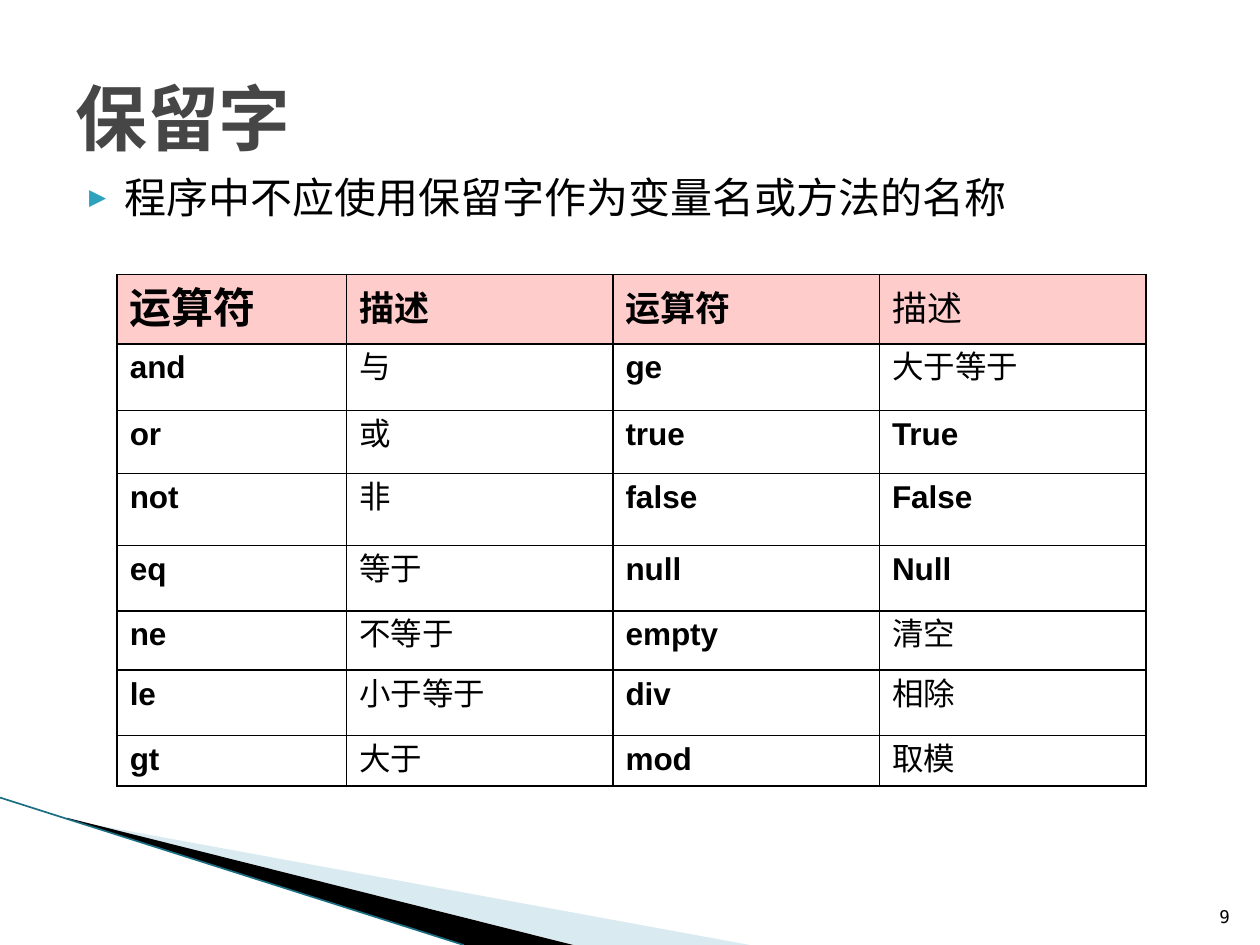
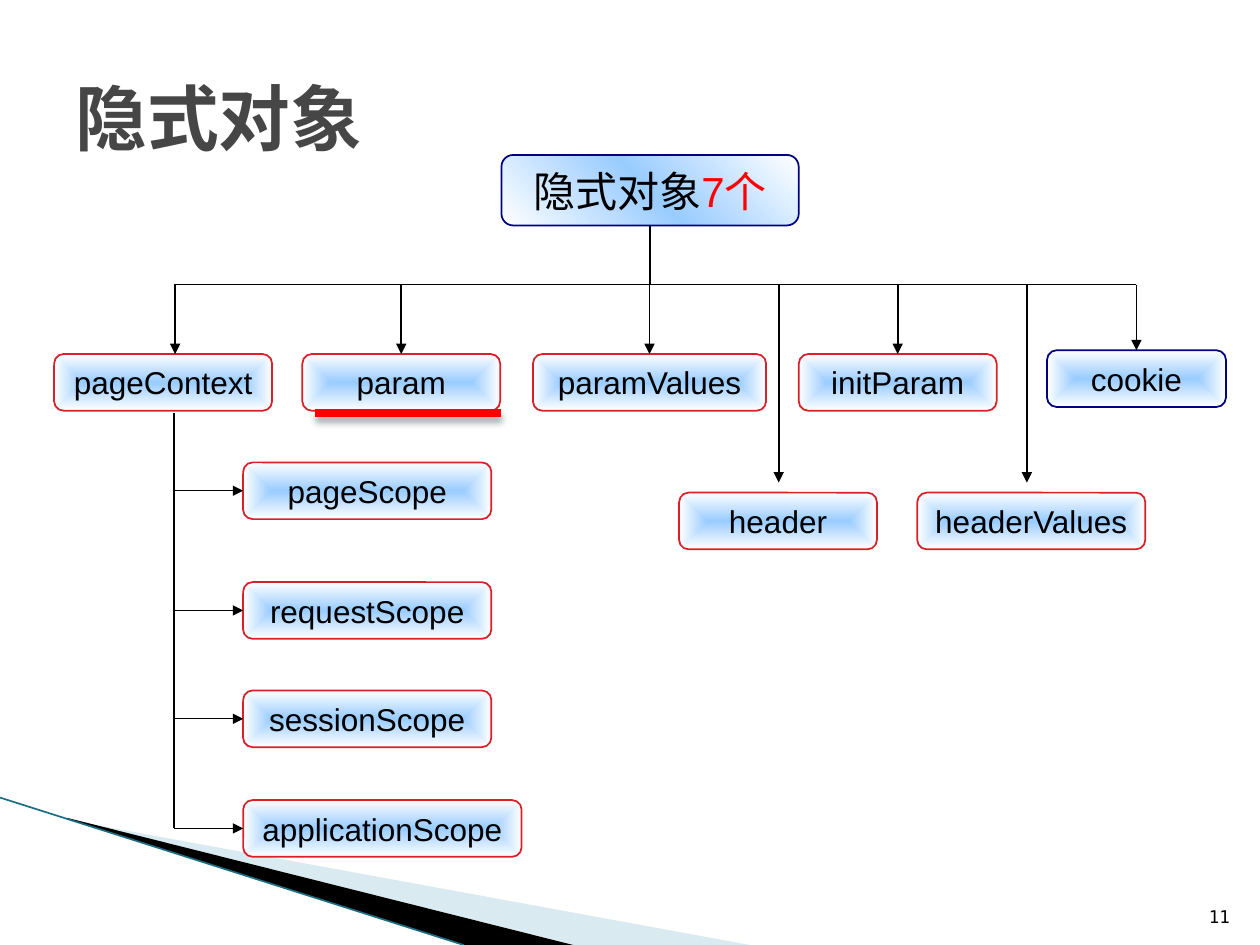
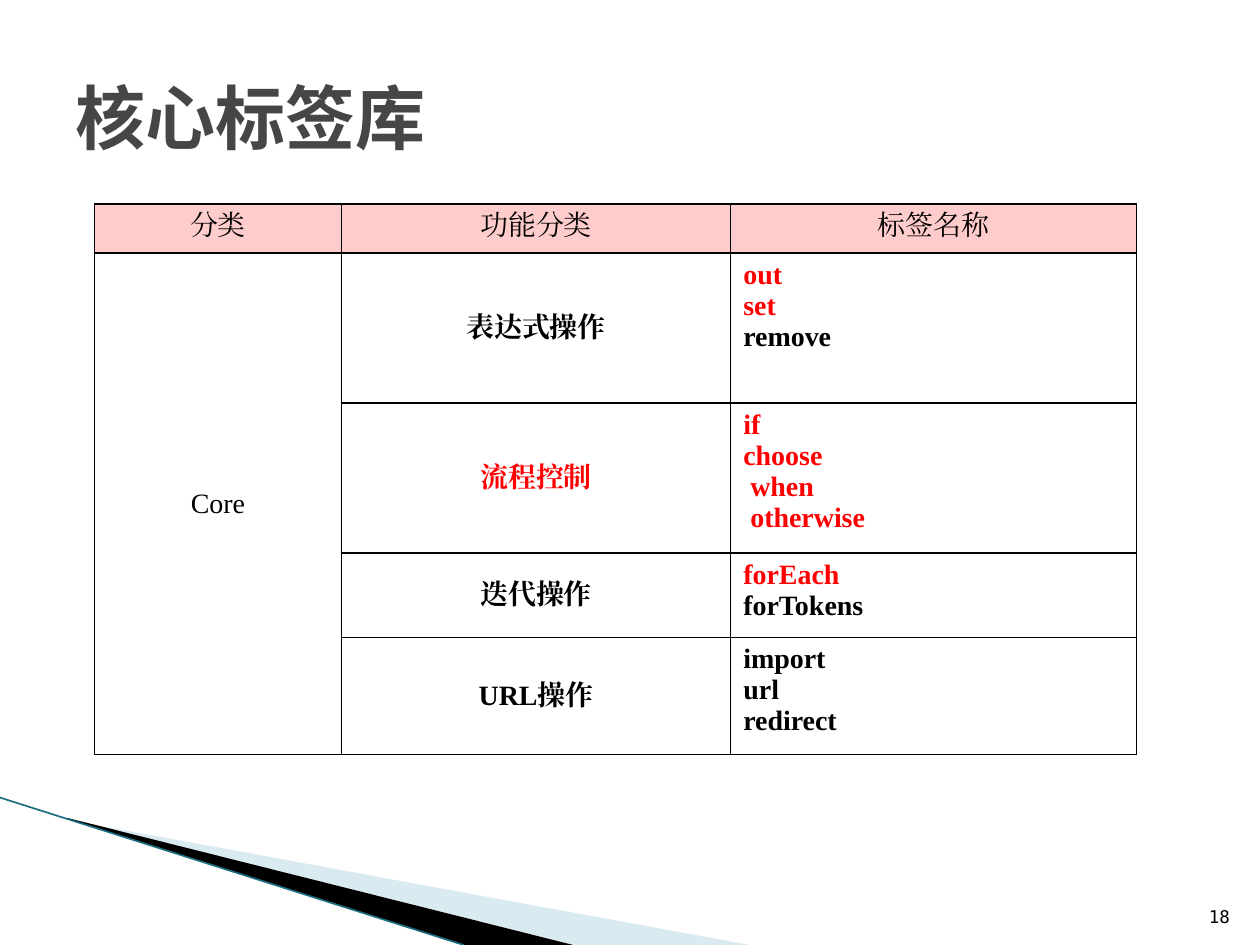
from dataclasses import dataclass, replace
from itertools import pairwise
from typing import NamedTuple, Optional, Sequence

from pptx import Presentation
from pptx.dml.color import RGBColor
from pptx.enum.shapes import MSO_CONNECTOR as Connector, MSO_SHAPE as Preset
from pptx.enum.text import MSO_ANCHOR as Anchor, PP_ALIGN as Align
from pptx.oxml import parse_xml
from pptx.oxml.ns import nsdecls, qn
from pptx.oxml.xmlchemy import OxmlElement
from pptx.util import Inches, Pt

# Square grid: 100 columns by 75 rows
COLUMNS, ROWS = 100, 75
CELL = Inches(10) // COLUMNS
TOP, LEFT, BOTTOM = 0, 1, 2  # connection sites of a rectangle


def grid(count: float) -> int:
    return round(count * CELL)


# Theme and records
@dataclass(frozen=True)
class Theme:
    sans: str = "DejaVu Sans Mono"
    arial: str = "Arial"
    serif: str = "Times New Roman"
    black: str = "000000"
    red: str = "FF0000"
    title: str = "464646"
    header: str = "FFCCCC"
    bullet: str = "2DA2BF"
    wedge: str = "A0CBDC"
    edge: str = "1B6E82"
    glow: str = "99CCFF"
    white: str = "FFFFFF"
    box_red: str = "DA1F28"
    navy: str = "000080"
    title_size: float = 41
    large: float = 24
    medium: float = 20
    normal: float = 18
    small: float = 16
    number_size: float = 10


THEME = Theme()


@dataclass(frozen=True)
class Style:
    font: str
    size: float
    color: str = THEME.black
    bold: bool = False


class Box(NamedTuple):
    left: float
    top: float
    width: float
    height: float


class Point(NamedTuple):
    x: float
    y: float


class Node(NamedTuple):
    text: str
    box: Box
    arrow_x: Optional[float] = None  # None: arrow joins the top middle
    line: str = THEME.box_red


class Cell(NamedTuple):
    text: str
    style: Style
    anchor: Anchor = Anchor.TOP
    align: Align = Align.LEFT
    fill: Optional[str] = None
    space_before: float = 0


class TableSpec(NamedTuple):
    origin: Point
    widths: Sequence[float]
    heights: Sequence[float]


NODE_STYLE = Style(THEME.arial, THEME.normal)


# Text
def style_run(run, style: Style) -> None:
    run.font.name = style.font
    run.font.size = Pt(style.size)
    run.font.bold = style.bold
    run.font.color.rgb = RGBColor.from_string(style.color)
    east_asian = OxmlElement("a:ea")
    east_asian.set("typeface", style.font)
    run.font._element.find(qn("a:latin")).addnext(east_asian)


def style_paragraph(paragraph, style: Style, align: Align = Align.LEFT) -> None:
    paragraph.alignment = align
    for run in paragraph.runs:
        style_run(run, style)


def add_text(slide, box: Box, text: str, style: Style,
             anchor: Anchor = Anchor.TOP, align: Align = Align.LEFT):
    frame = slide.shapes.add_textbox(*map(grid, box)).text_frame
    frame.word_wrap = True
    frame.vertical_anchor = anchor
    frame.text = text
    style_paragraph(frame.paragraphs[0], style, align)
    return frame.paragraphs[0]


def add_bullet(paragraph) -> None:
    paragraph.space_before = Pt(4)
    properties = paragraph._p.get_or_add_pPr()
    properties.set("marL", str(grid(4)))
    properties.set("indent", str(grid(-2.8)))
    for markup in (
        f'<a:buClr {nsdecls("a")}><a:srgbClr val="{THEME.bullet}"/></a:buClr>',
        f'<a:buSzPct {nsdecls("a")} val="68000"/>',
        f'<a:buFont {nsdecls("a")} typeface="{THEME.sans}"/>',
        f'<a:buChar {nsdecls("a")} char="▶"/>',
    ):
        properties.append(parse_xml(markup))


# Lines, outlines and boxes
def add_line(slide, start: Point, end: Point, width: float = 0.75,
             color: str = THEME.black, arrow: bool = False, effect: str = ""):
    line = slide.shapes.add_connector(Connector.STRAIGHT, *map(grid, (*start, *end)))
    line.line.width = Pt(width)
    line.line.color.rgb = RGBColor.from_string(color)
    if arrow:
        tail = OxmlElement("a:tailEnd")
        tail.set("type", "triangle")
        line.line._get_or_add_ln().append(tail)
    line._element.spPr.append(
        parse_xml(f'<a:effectLst {nsdecls("a")}>{effect}</a:effectLst>'))
    return line


def add_wedge(slide, points: Sequence[Point], color: str, opacity: int = 100) -> None:
    first, *others = [(grid(point.x), grid(point.y)) for point in points]
    builder = slide.shapes.build_freeform(*first)
    builder.add_line_segments(others)
    shape = builder.convert_to_shape()
    shape.shadow.inherit = False
    shape.line.fill.background()
    shape.fill.solid()
    shape.fill.fore_color.rgb = RGBColor.from_string(color)
    if opacity < 100:
        alpha = OxmlElement("a:alpha")
        alpha.set("val", str(opacity * 1000))
        shape._element.spPr.find(".//" + qn("a:srgbClr")).append(alpha)


def gradient(colors: Sequence[str], direction: str):
    step = 100000 // (len(colors) - 1)
    stops = "".join(f'<a:gs pos="{index * step}"><a:srgbClr val="{color}"/></a:gs>'
                    for index, color in enumerate(colors))
    return parse_xml(f'<a:gradFill {nsdecls("a")} rotWithShape="1">'
                     f'<a:gsLst>{stops}</a:gsLst>{direction}</a:gradFill>')


DIAGONAL = '<a:lin ang="18900000" scaled="1"/>'
INWARD = ('<a:path path="shape">'
          '<a:fillToRect l="50000" t="50000" r="50000" b="50000"/></a:path>')


def add_node(slide, node: Node, style: Style = NODE_STYLE,
             colors: Sequence[str] = (THEME.glow, THEME.white), direction: str = INWARD):
    shape = slide.shapes.add_shape(Preset.ROUNDED_RECTANGLE, *map(grid, node.box))
    shape.shadow.inherit = False
    shape._element.spPr.find(qn("a:prstGeom")).addnext(gradient(colors, direction))
    shape.line.color.rgb = RGBColor.from_string(node.line)
    shape.line.width = Pt(1)
    frame = shape.text_frame
    frame.word_wrap = False
    frame.vertical_anchor = Anchor.MIDDLE
    frame.text = node.text
    style_paragraph(frame.paragraphs[0], style, Align.CENTER)
    return shape


# Tables
def add_borders(cell) -> None:
    properties = cell._tc.get_or_add_tcPr()
    for side in ("lnL", "lnR", "lnT", "lnB"):
        properties.append(parse_xml(
            f'<a:{side} {nsdecls("a")} w="{Pt(1)}"><a:solidFill>'
            f'<a:srgbClr val="{THEME.black}"/></a:solidFill></a:{side}>'))


def fill_cell(cell, content: Cell) -> None:
    cell.text_frame.text = content.text
    cell.vertical_anchor = content.anchor
    for paragraph in cell.text_frame.paragraphs:
        style = content.style
        if paragraph.text.strip() in HIGHLIGHTED:
            style = replace(style, color=THEME.red)
        style_paragraph(paragraph, style, content.align)
        if content.space_before:
            paragraph.space_before = Pt(content.space_before)
    if content.fill:
        cell.fill.solid()
        cell.fill.fore_color.rgb = RGBColor.from_string(content.fill)


def add_grid_table(slide, spec: TableSpec, rows: Sequence[Sequence[Optional[Cell]]]):
    size = Point(sum(spec.widths), sum(spec.heights))
    table = slide.shapes.add_table(len(spec.heights), len(spec.widths),
                                   *map(grid, (*spec.origin, *size))).table
    table.first_row = table.horz_banding = False
    for column, width in zip(table.columns, spec.widths):
        column.width = grid(width)
    for row, height, contents in zip(table.rows, spec.heights, rows):
        row.height = grid(height)
        for cell, content in zip(row.cells, contents):
            add_borders(cell)
            cell.fill.background()
            if content:
                fill_cell(cell, content)
    return table


# Shared slide frame
def add_slide(presentation, title: str, number: int,
              title_size: float = THEME.title_size):
    slide = presentation.slides.add_slide(presentation.slide_layouts[6])
    add_wedge(slide, [Point(5.5, 65.1), Point(59.5, ROWS), Point(45.6, ROWS),
                      Point(5.5, 65)], THEME.wedge, 40)
    add_wedge(slide, [Point(5.3, 64.9), Point(45.5, ROWS), Point(36.9, ROWS),
                      Point(5.4, 65)], THEME.black)
    add_line(slide, Point(0, 63.3), Point(36.8, ROWS), 0.95, THEME.edge)
    add_text(slide, Box(94.6, 70.1, 4, 4), str(number),
             Style(THEME.sans, THEME.number_size), Anchor.BOTTOM, Align.RIGHT)
    add_text(slide, Box(5, 3, 90, 12.5), title,
             Style(THEME.sans, title_size, THEME.title, True), Anchor.MIDDLE)
    return slide


# Reserved words
HEADINGS = ("运算符", "描述", "运算符", "描述")
RESERVED_WORDS = (
    ("and", "与", "ge", "大于等于"),
    ("or", "或", "true", "True"),
    ("not", "非", "false", "False"),
    ("eq", "等于", "null", "Null"),
    ("ne", "不等于", "empty", "清空"),
    ("le", "小于等于", "div", "相除"),
    ("gt", "大于", "mod", "取模"),
)


def build_reserved_words(presentation) -> None:
    slide = add_slide(presentation, "保留字", 9)
    add_bullet(add_text(slide, Box(4.9, 13.1, 90, 49.5),
                        "程序中不应使用保留字作为变量名或方法的名称",
                        Style(THEME.sans, THEME.large)))
    last = len(HEADINGS) - 1
    header = []
    for index, text in enumerate(HEADINGS):
        size = THEME.medium if index else THEME.large
        header.append(Cell(text, Style(THEME.arial, size, bold=index < last),
                           Anchor.MIDDLE, fill=THEME.header, space_before=size / 5))
    body = [[Cell(word, Style(THEME.arial, THEME.normal, bold=word.isascii()),
                  space_before=THEME.normal / 5) for word in words]
            for words in RESERVED_WORDS]
    spec = TableSpec(Point(9.3, 21.8), (18.2, 21.15, 21.15, 21.15),
                     (5.5, 5.3, 5, 5.7, 5.2, 4.7, 5.2, 3.7))
    add_grid_table(slide, spec, [header, *body])


# Implicit objects
RAIL_Y, SPINE_X, NODE_HEIGHT = 22.6, 13.8, 4.5
ROOT = Node("隐式对象", Box(39.8, 12.3, 23.6, 5.6), line=THEME.navy)
OBJECTS = (
    Node("pageContext", Box(4.3, 28.1, 17.3, NODE_HEIGHT), 13.9),
    Node("param", Box(24, 28.1, 15.7, NODE_HEIGHT)),
    Node("paramValues", Box(42.3, 28.1, 18.5, NODE_HEIGHT)),
    Node("header", Box(53.9, 39.1, 15.7, NODE_HEIGHT), 61.8),
    Node("initParam", Box(63.4, 28.1, 15.7, NODE_HEIGHT)),
    Node("headerValues", Box(72.8, 39.1, 18.1, NODE_HEIGHT), 81.5),
    Node("cookie", Box(83.1, 27.8, 14.2, NODE_HEIGHT), line=THEME.navy),
)
SCOPES = (
    Node("pageScope", Box(19.3, 36.7, 19.7, NODE_HEIGHT)),
    Node("requestScope", Box(19.3, 46.2, 19.7, NODE_HEIGHT)),
    Node("sessionScope", Box(19.3, 54.8, 19.7, NODE_HEIGHT)),
    Node("applicationScope", Box(19.3, 63.5, 22.1, NODE_HEIGHT)),
)
SOFT_SHADOW = (f'<a:outerShdw blurRad="{Pt(4)}" dist="{Pt(3)}" dir="5400000" '
               f'rotWithShape="0"><a:srgbClr val="{THEME.black}">'
               '<a:alpha val="35000"/></a:srgbClr></a:outerShdw>')


def build_implicit_objects(presentation) -> None:
    slide = add_slide(presentation, "隐式对象", 11)
    root_style = Style(THEME.arial, THEME.large)
    root = add_node(slide, ROOT, root_style,
                    (THEME.white, THEME.glow, THEME.white), DIAGONAL)
    count = root.text_frame.paragraphs[0].add_run()
    count.text = "7个"
    style_run(count, replace(root_style, color=THEME.red))

    # Trunk and rail
    middle = ROOT.box.left + ROOT.box.width / 2
    trunk = add_line(slide, Point(middle, 17.9), Point(middle, RAIL_Y))
    trunk.begin_connect(root, BOTTOM)
    add_line(slide, Point(SPINE_X, RAIL_Y), Point(90.2, RAIL_Y))

    # Objects hanging from the rail
    for node in OBJECTS:
        shape = add_node(slide, node)
        box = node.box
        x = node.arrow_x or box.left + box.width / 2
        end_y = min(box.top, 38.3)
        arrow = add_line(slide, Point(x, RAIL_Y), Point(x, end_y), 1, arrow=True)
        if node.arrow_x is None:
            arrow.end_connect(shape, TOP)

    # Scopes branching from the spine
    stops = [32.8]
    for node in SCOPES:
        shape = add_node(slide, node)
        y = node.box.top + NODE_HEIGHT / 2
        branch = add_line(slide, Point(SPINE_X, y), Point(node.box.left, y), arrow=True)
        branch.end_connect(shape, LEFT)
        stops.append(y)
    for upper, lower in pairwise(stops):
        add_line(slide, Point(SPINE_X, upper), Point(SPINE_X, lower))

    # Underline of param
    add_line(slide, Point(25, 32.8), Point(39.8, 32.8), 4.33, THEME.red,
             effect=SOFT_SHADOW)


# Core tag library
HIGHLIGHTED = {"流程控制", "out", "set", "if", "choose", "when", "otherwise", "forEach"}
TAG_GROUPS = (
    ("表达式操作", "out\nset\nremove"),
    ("流程控制", "if\nchoose\n when\n otherwise"),
    ("迭代操作", "forEach\nforTokens"),
    ("URL操作", "import\nurl\nredirect"),
)


def build_core_tags(presentation) -> None:
    slide = add_slide(presentation, "核心标签库", 18, title_size=40)
    plain = Style(THEME.serif, THEME.small)
    bold = replace(plain, bold=True)
    header = [Cell(text, plain, align=Align.CENTER, fill=THEME.header)
              for text in ("分类", "功能分类", "标签名称")]
    core = Cell("Core", plain, Anchor.MIDDLE, Align.CENTER)
    body = [[None if index else core,
             Cell(group, bold, Anchor.MIDDLE, Align.CENTER), Cell(tags, bold)]
            for index, (group, tags) in enumerate(TAG_GROUPS)]
    spec = TableSpec(Point(7.5, 16.2), (19.6, 30.9, 32.2), (3.9, 11.9, 11.9, 6.7, 9.3))
    table = add_grid_table(slide, spec, [header, *body])
    table.cell(1, 0).merge(table.cell(len(TAG_GROUPS), 0))


def main() -> None:
    presentation = Presentation()
    presentation.slide_width = grid(COLUMNS)
    presentation.slide_height = grid(ROWS)
    build_reserved_words(presentation)
    build_implicit_objects(presentation)
    build_core_tags(presentation)
    presentation.save("out.pptx")


if __name__ == "__main__":
    main()
